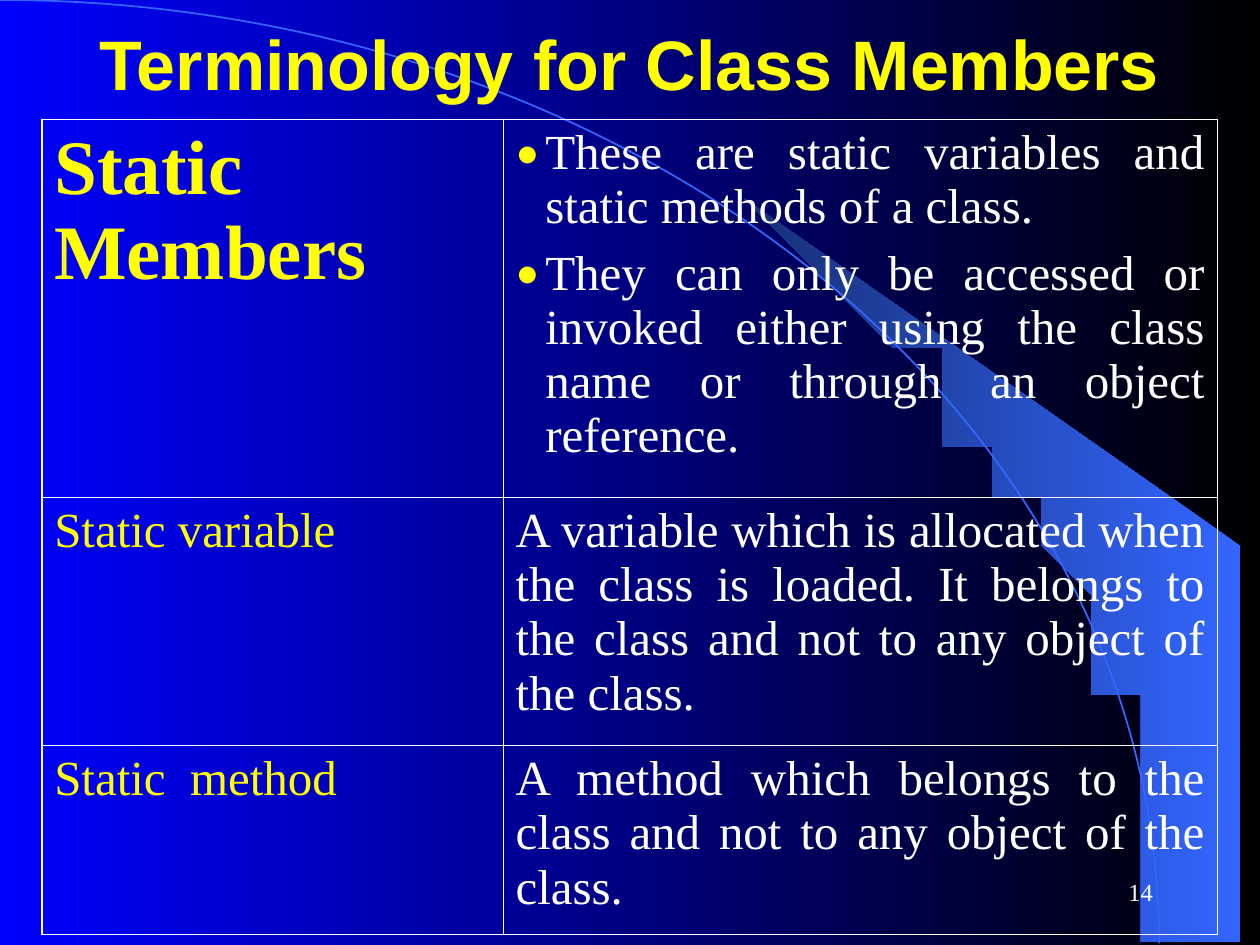
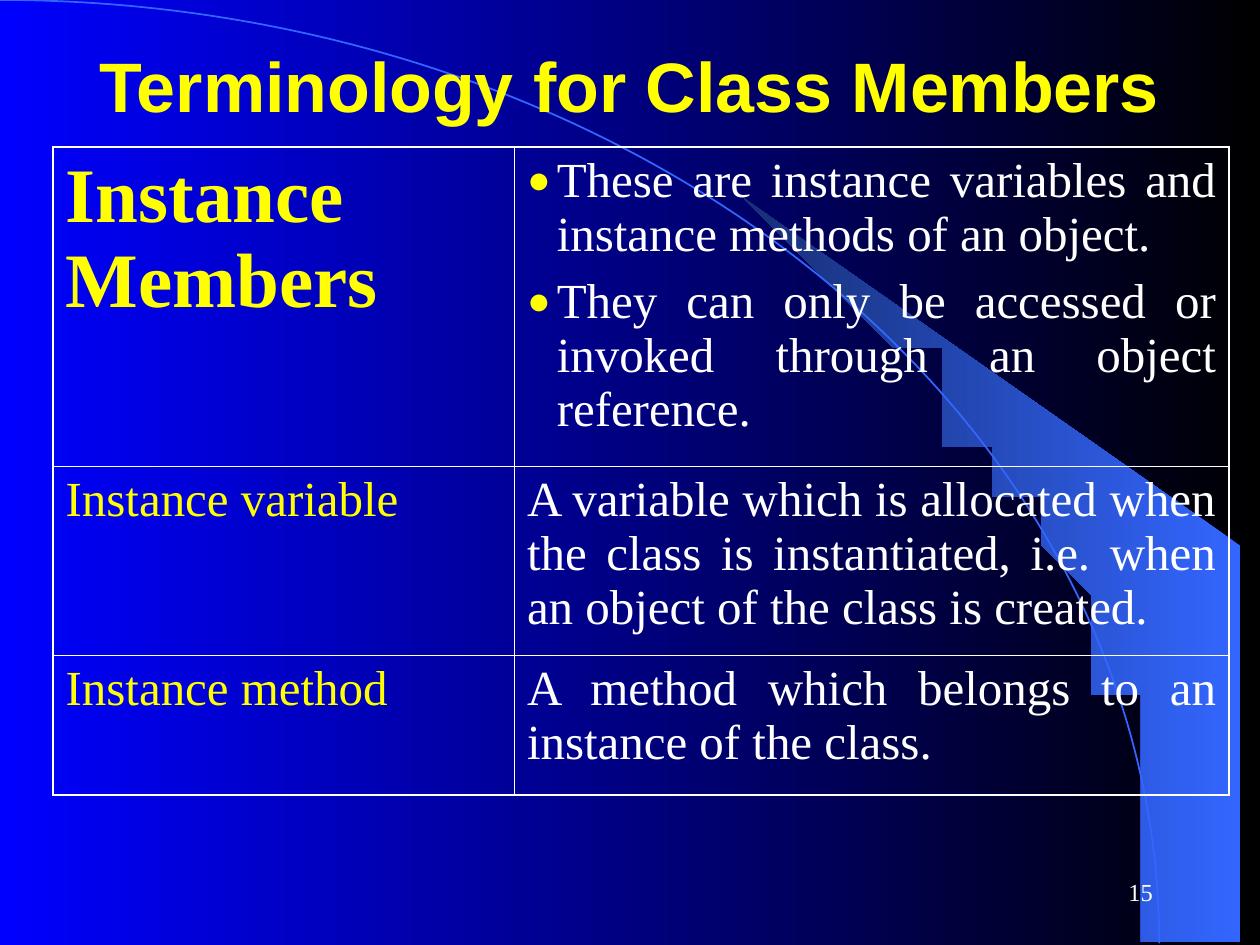
import math

import pptx
import pptx.dml.color
import pptx.enum.shapes
import pptx.enum.text
import pptx.oxml
import pptx.oxml.ns
import pptx.util

Cm = pptx.util.Cm
Pt = pptx.util.Pt
ALIGN = pptx.enum.text.PP_ALIGN
MIDDLE = pptx.enum.text.MSO_ANCHOR.MIDDLE

WIDE, HIGH = 25.4, 19.05
BLACK, BLUE = "000000", "0000FF"
YELLOW, WHITE = "FFFF00", "FFFFFF"
SKY, NAVY = "3366FF", "172F75"
SANS, SERIF = "Arial", "Times New Roman"
COLS = (9.3, 14.4)
THICK, THIN = 1.08, 0.45
HANG = 0.6

TITLE = "Terminology for Class Members"
PAGES = [
    {
        "page": "14",
        "top": 0,
        "spot": (0.84, 2.41),
        "rows": [
            (7.62, "Static Members", [
                "These are static variables and static methods of a class.",
                "They can only be accessed or invoked either using the class "
                "name or through an object reference."]),
            (5.0, "Static variable", [
                "A variable which is allocated when the class is loaded. It "
                "belongs to the class and not to any object of the class."]),
            (3.81, "Static  method", [
                "A method which belongs to the class and not to any object "
                "of the class."]),
        ],
    },
    {
        "page": "15",
        "top": 0.43,
        "spot": (1.07, 2.97),
        "rows": [
            (6.43, "Instance Members", [
                "These are instance variables and instance methods of an "
                "object.",
                "They can only be accessed or invoked through an object "
                "reference."]),
            (3.81, "Instance variable", [
                "A variable which is allocated when the class is "
                "instantiated, i.e. when an object of the class is created."]),
            (2.82, "Instance method", [
                "A method which belongs to an instance of the class."]),
        ],
    },
]


def rgb(code):
    return pptx.dml.color.RGBColor.from_string(code)


def blend(fill, first, last):
    """Fill with a gradient that runs from right to left."""
    fill.gradient()
    fill.gradient_angle = 180
    for stop, code in zip(fill.gradient_stops, (first, last)):
        stop.color.rgb = rgb(code)


def write(para, text, size, code, face=SERIF, bold=False, align=None):
    para.alignment = align
    run = para.add_run()
    run.text = text
    font = run.font
    font.size, font.name, font.bold = Pt(size), face, bold
    font.color.rgb = rgb(code)


def add_xml(parent, text):
    space = pptx.oxml.ns.nsdecls("a")
    head, tail = text.split(" ", 1)
    parent.append(pptx.oxml.parse_xml(f"{head} {space} {tail}"))


def bullet(para):
    props = para._p.get_or_add_pPr()
    props.set("marL", str(Cm(HANG)))
    props.set("indent", str(-Cm(HANG)))
    add_xml(props, f'<a:buClr ><a:srgbClr val="{YELLOW}"/></a:buClr>')
    add_xml(props, '<a:buSzPct val="80000"/>')
    add_xml(props, f'<a:buFont typeface="{SERIF}"/>')
    add_xml(props, '<a:buChar char="●"/>')


def border(cell, sides):
    """Draw the sides, given as a width in points for each of L, R, T, B."""
    props = cell._tc.get_or_add_tcPr()
    for side, width in sides.items():
        add_xml(props, f'<a:ln{side} w="{Pt(width)}"><a:solidFill>'
                       f'<a:srgbClr val="{WHITE}"/></a:solidFill></a:ln{side}>')


def curve(slide, box):
    """Draw a quarter ellipse in the box and the lit wedge to its right."""
    left, top, width, height = box
    arc = slide.shapes.add_shape(
        pptx.enum.shapes.MSO_SHAPE.ARC, Cm(left - width), Cm(top),
        Cm(2 * width), Cm(2 * height))
    arc.fill.background()
    arc.line.color.rgb = rgb(SKY)
    arc.line.width = Pt(1)

    edge = []
    for step in range(25):
        turn = math.radians(39.8 + 50.2 * step / 24)
        edge.append((left + width * math.sin(turn),
                     top + height * (1 - math.cos(turn))))
    right = left + width + 2
    path = slide.shapes.build_freeform(*edge[0], scale=Cm(1))
    path.add_line_segments(
        edge[1:] + [(right, top + height), (right, top + 10.74)])
    wedge = path.convert_to_shape()
    blend(wedge.fill, SKY, NAVY)
    wedge.line.fill.background()
    for shape in (arc, wedge):
        shape.shadow.inherit = False
    return wedge, arc


def backdrop(deck, slide):
    """Put the gradient and the curve on the master for all slides."""
    master = deck.slide_master
    blend(master.background.fill, BLACK, BLUE)
    parts = curve(slide, (0, 0, 23.37, 19.02))
    for place, shape in enumerate(parts):
        item = shape.element
        item.nvSpPr.cNvPr.set("id", str(100 + place))
        master.shapes.element.insert(2 + place, item)


def heading(slide, box):
    title = slide.shapes.title
    title.left, title.top, title.width, title.height = map(Cm, box)
    frame = title.text_frame
    frame.auto_size = pptx.enum.text.MSO_AUTO_SIZE.NONE
    frame.vertical_anchor = MIDDLE
    write(frame.paragraphs[0], TITLE, 40, YELLOW, SANS, True, ALIGN.CENTER)


def fill_cell(cell, texts, size, code, bold=False):
    frame = cell.text_frame
    for place, text in enumerate(texts):
        para = frame.add_paragraph() if place else frame.paragraphs[0]
        write(para, text, size, code, bold=bold, align=ALIGN.JUSTIFY)
        para.space_before = Pt(size / 4)
        if len(texts) > 1:
            bullet(para)


def terms(slide, spot, rows):
    """Place the table of terms and meanings with its corner at the spot."""
    high = sum(row[0] for row in rows)
    table = slide.shapes.add_table(
        len(rows), len(COLS), *map(Cm, (*spot, sum(COLS), high))).table
    table.first_row = table.horz_banding = False
    for col, width in zip(table.columns, COLS):
        col.width = Cm(width)
    last = len(rows) - 1
    for place, (height, term, texts) in enumerate(rows):
        table.rows[place].height = Cm(height)
        name, body = table.rows[place].cells
        top = place == 0
        fill_cell(name, [term], 44 if top else 28, YELLOW, top)
        fill_cell(body, texts, 28, WHITE)
        for cell in (name, body):
            border(cell, {"L": THICK if cell is name else THIN,
                          "R": THICK if cell is body else THIN,
                          "T": THICK if top else THIN,
                          "B": THICK if place == last else THIN})
            cell.fill.background()


def footer(slide, box, page):
    frame = slide.shapes.add_textbox(*map(Cm, box)).text_frame
    frame.word_wrap = True
    frame.vertical_anchor = MIDDLE
    write(frame.paragraphs[0], page, 14, WHITE, align=ALIGN.RIGHT)


def main():
    deck = pptx.Presentation()
    deck.slide_width, deck.slide_height = Cm(WIDE), Cm(HIGH)
    for data in PAGES:
        slide = deck.slides.add_slide(deck.slide_layouts[5])
        if data is PAGES[0]:
            backdrop(deck, slide)
        heading(slide, (1.47, data["top"], 22.43, 2.54))
        terms(slide, data["spot"], data["rows"])
        footer(slide, (18.21, 17.35, 5.28, 1.27), data["page"])
    deck.save("out.pptx")


if __name__ == "__main__":
    main()
